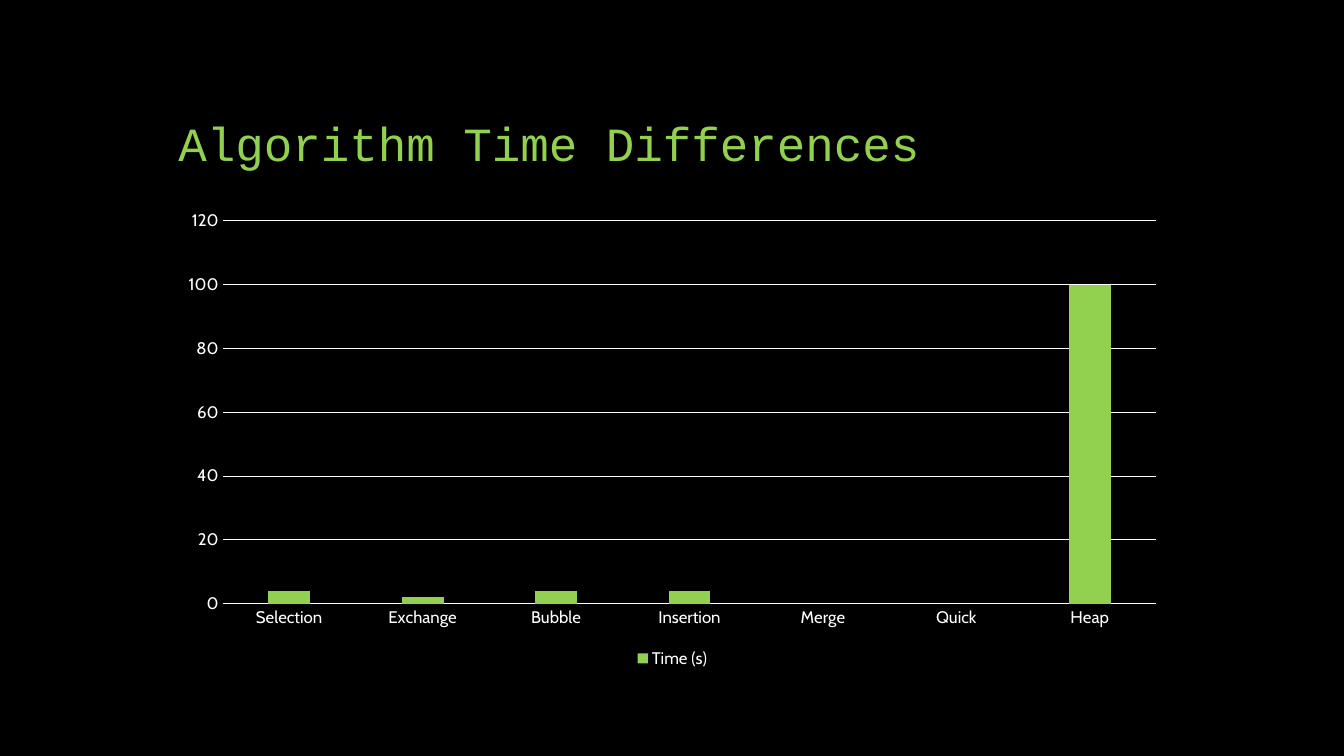
from pptx import Presentation
from pptx.chart.data import CategoryChartData as ChartData
from pptx.dml.color import RGBColor as RGB
from pptx.enum.chart import XL_CHART_TYPE as Chart, XL_LEGEND_POSITION as Legend
from pptx.enum.chart import XL_TICK_MARK as Tick
from pptx.enum.text import MSO_ANCHOR as Anchor, PP_ALIGN as Align
from pptx.util import Inches, Pt

# Content
TITLE = "Algorithm Time Differences"
SERIES = "Time (s)"
TIMES = [
    ("Selection", 4),
    ("Exchange", 2),
    ("Bubble", 4),
    ("Insertion", 4),
    ("Merge", None),
    ("Quick", None),
    ("Heap", 100),
]

# Style and layout
BLACK, WHITE, GREEN = "000000", "FFFFFF", "92D050"
LEFT, WIDTH = 1.67, 10
TITLE_BOX = (LEFT, 0.5, WIDTH, 1.25)
CHART_BOX = (LEFT, 2, WIDTH, 4.67)


def box(dims):
    return [Inches(d) for d in dims]


def paint(fill, color):
    fill.solid()
    fill.fore_color.rgb = RGB.from_string(color)


def style(font, name, size, color):
    font.name, font.size = name, Pt(size)
    paint(font.fill, color)


def rule(line, color):
    line.width = Pt(0.75)
    paint(line.fill, color)


def add_title(slide):
    frame = slide.shapes.add_textbox(*box(TITLE_BOX)).text_frame
    frame.word_wrap = True
    frame.vertical_anchor = Anchor.BOTTOM
    para = frame.paragraphs[0]
    para.alignment = Align.LEFT
    para.line_spacing = 0.9
    run = para.add_run()
    run.text = TITLE
    style(run.font, "Courier New", 34, GREEN)


def add_times(slide):
    data = ChartData()
    names, values = zip(*TIMES)
    data.categories = names
    data.add_series(SERIES, values)
    chart = slide.shapes.add_chart(
        Chart.COLUMN_CLUSTERED, *box(CHART_BOX), data).chart
    chart.has_title = False
    style(chart.font, "Cabin", 10, WHITE)

    # Columns
    plot = chart.plots[0]
    plot.vary_by_categories = False
    plot.gap_width, plot.overlap = 219, -27
    paint(plot.series[0].format.fill, GREEN)

    # Axes
    cat, val = chart.category_axis, chart.value_axis
    for axis in (cat, val):
        axis.major_tick_mark = axis.minor_tick_mark = Tick.NONE
        style(axis.tick_labels.font, "Cabin", 12, WHITE)
    rule(cat.format.line, WHITE)
    val.format.line.fill.background()
    val.minimum_scale, val.maximum_scale, val.major_unit = 0, 120, 20
    val.has_major_gridlines = True
    rule(val.major_gridlines.format.line, WHITE)

    # Legend
    chart.has_legend = True
    chart.legend.position = Legend.BOTTOM
    chart.legend.include_in_layout = False
    style(chart.legend.font, "Cabin", 12, WHITE)


def main():
    deck = Presentation()
    deck.slide_width, deck.slide_height = Inches(13.33), Inches(7.5)
    slide = deck.slides.add_slide(deck.slide_layouts[6])
    paint(slide.background.fill, BLACK)
    add_title(slide)
    add_times(slide)
    deck.save("out.pptx")


if __name__ == "__main__":
    main()
